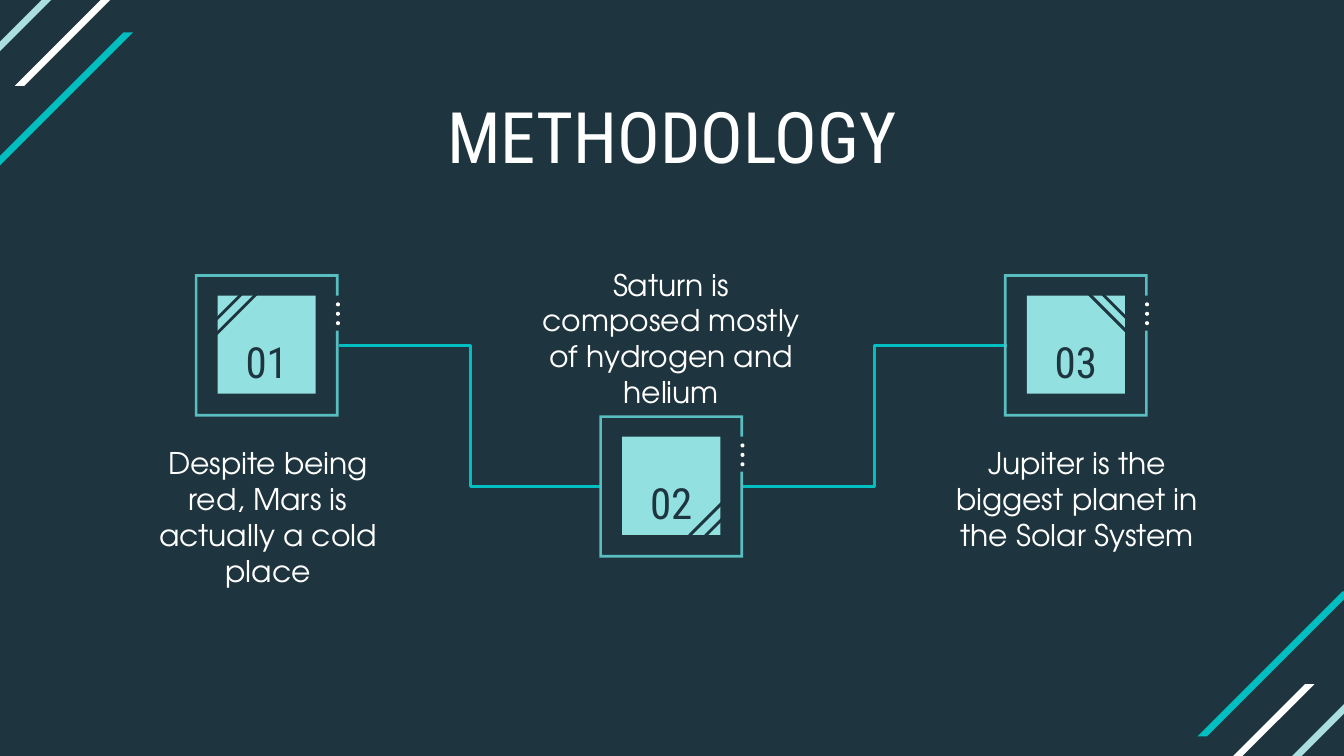
from dataclasses import dataclass

from pptx import Presentation
from pptx.dml.color import RGBColor
from pptx.enum.shapes import MSO_CONNECTOR, MSO_SHAPE
from pptx.enum.text import MSO_ANCHOR, PP_ALIGN
from pptx.oxml.ns import qn
from pptx.shapes.autoshape import Shape
from pptx.slide import Slide
from pptx.util import Inches, Pt

ELBOW = MSO_CONNECTOR.ELBOW
RECTANGLE, OVAL = MSO_SHAPE.RECTANGLE, MSO_SHAPE.OVAL
TOP, MIDDLE = MSO_ANCHOR.TOP, MSO_ANCHOR.MIDDLE
CENTER = PP_ALIGN.CENTER

Point = tuple[float, float]


@dataclass(frozen=True)
class Theme:
    dark: str = "1E343F"
    teal: str = "01BEC0"
    frame: str = "58BEBF"
    tile: str = "92E0E0"
    pale: str = "ABDFDF"
    white: str = "FFFFFF"
    heading_font: str = "Roboto Condensed"
    body_font: str = "TeX Gyre Adventor"
    title_size: float = 38
    number_size: float = 23
    body_size: float = 16
    line_width: float = 1.5


@dataclass(frozen=True)
class Area:
    left: float
    top: float
    width: float
    height: float


@dataclass(frozen=True)
class Stripe:
    """A 45 degree bar; a falling one runs down to the right."""
    left: float
    top: float
    run: float
    thickness: float
    color: str
    falling: bool = False


@dataclass(frozen=True)
class Step:
    number: str
    left: float
    top: float
    caption: str
    caption_area: Area
    caption_anchor: MSO_ANCHOR
    stripes: tuple[Point, ...]
    falling: bool = False


THEME = Theme()
SLIDE_WIDTH = 10
SLIDE_HEIGHT = SLIDE_WIDTH * 9 / 16
FRAME_WIDTH, FRAME_HEIGHT = 1.07, 1.06
TILE_SIZE = 0.73
DOT_SIZE = 0.03

CORNER_STRIPES = (
    Stripe(-0.16, 0.24, 1.08, 0.07, THEME.teal),
    Stripe(-0.39, -0.21, 0.91, 0.07, THEME.pale),
    Stripe(0.11, -0.44, 1.08, 0.07, THEME.white),
    Stripe(9.31, 5.02, 0.91, 0.07, THEME.pale),
    Stripe(8.63, 5.09, 1.08, 0.07, THEME.white),
    Stripe(8.91, 4.4, 1.08, 0.07, THEME.teal),
)

STEPS = (
    Step("01", 1.45, 2.04, "Despite being red, Mars is actually a cold place",
         Area(0.94, 3.21, 2.11, 1.05), TOP, ((1.44, 2.12), (1.4, 2.05))),
    Step("02", 4.46, 3.09, "Saturn is composed mostly of hydrogen and helium",
         Area(3.86, 1.95, 2.27, 1.13), MIDDLE, ((4.91, 3.67), (4.99, 3.71))),
    Step("03", 7.47, 2.04, "Jupiter is the biggest planet in the Solar System",
         Area(6.96, 3.21, 2.11, 1.05), TOP, ((7.98, 2.05), (8.05, 2.02)), True),
)


def paint(shape: Shape, color: str) -> None:
    shape.shadow.inherit = False
    shape.fill.solid()
    shape.fill.fore_color.rgb = RGBColor.from_string(color)
    shape.line.fill.background()


def add_preset(slide: Slide, kind: MSO_SHAPE, area: Area, color: str) -> None:
    shape = slide.shapes.add_shape(kind, Inches(area.left), Inches(area.top),
                                   Inches(area.width), Inches(area.height))
    paint(shape, color)


def add_outline(slide: Slide, points: list[Point], color: str) -> None:
    corners = [(Inches(x), Inches(y)) for x, y in points]
    builder = slide.shapes.build_freeform(*corners[0])
    builder.add_line_segments(corners[1:], close=True)
    paint(builder.convert_to_shape(), color)


def add_stripe(slide: Slide, stripe: Stripe) -> None:
    left, top, thick = stripe.left, stripe.top, stripe.thickness
    right, bottom = left + stripe.run, top + stripe.run
    if stripe.falling:
        points = [(right, bottom), (left, top), (left, top + thick), (right, bottom + thick)]
    else:
        points = [(right, top), (left, bottom), (left + thick, bottom), (right + thick, top)]
    add_outline(slide, points, stripe.color)


def add_text(slide: Slide, text: str, area: Area, font: str, size: float, color: str,
             anchor: MSO_ANCHOR = TOP, inset_top: float = 0.1,
             inset_bottom: float = 0.1, space_after: float = 0) -> None:
    box = slide.shapes.add_textbox(Inches(area.left), Inches(area.top),
                                   Inches(area.width), Inches(area.height))
    frame = box.text_frame
    frame.word_wrap = True
    frame.vertical_anchor = anchor
    frame.margin_left = frame.margin_right = Inches(0.1)
    frame.margin_top, frame.margin_bottom = Inches(inset_top), Inches(inset_bottom)
    para = frame.paragraphs[0]
    para.alignment = CENTER
    para.space_after = Pt(space_after)
    span = para.add_run()
    span.text = text
    span.font.name = font
    span.font.size = Pt(size)
    span.font.color.rgb = RGBColor.from_string(color)


def add_link(slide: Slide, start: Step, end: Step) -> None:
    middle = FRAME_HEIGHT / 2
    link = slide.shapes.add_connector(
        ELBOW, Inches(start.left + FRAME_WIDTH), Inches(start.top + middle),
        Inches(end.left + 0.02), Inches(end.top + middle))
    link.line.color.rgb = RGBColor.from_string(THEME.teal)
    link.line.width = Pt(THEME.line_width)
    properties = link._element.spPr
    properties.append(properties.makeelement(qn("a:effectLst"), {}))


def add_frame(slide: Slide, left: float, top: float) -> None:
    # Square ring with a gap in its right side
    right, bottom, edge = left + FRAME_WIDTH, top + FRAME_HEIGHT, 0.02
    gap_top, gap_bottom = top + 0.16, top + 0.42
    add_outline(slide, [
        (left, top), (left, bottom), (right, bottom), (right, gap_bottom),
        (right - edge, gap_bottom), (right - edge, bottom - edge),
        (left + edge, bottom - edge), (left + edge, top + edge),
        (right - edge, top + edge), (right - edge, gap_top),
        (right, gap_top), (right, top),
    ], THEME.frame)
    # Three dots in the gap
    for index in range(3):
        dot = Area(left + 1.05, top + 0.21 + 0.07 * index, DOT_SIZE, DOT_SIZE)
        add_preset(slide, OVAL, dot, THEME.white)


def add_step(slide: Slide, step: Step) -> None:
    tile_left = step.left + 0.17
    add_preset(slide, RECTANGLE,
               Area(tile_left, step.top + 0.16, TILE_SIZE, TILE_SIZE), THEME.tile)
    add_text(slide, step.caption, step.caption_area, THEME.body_font, THEME.body_size,
             THEME.white, step.caption_anchor, space_after=16)
    add_text(slide, step.number, Area(tile_left, step.top + 0.37, TILE_SIZE, 0.35),
             THEME.heading_font, THEME.number_size, THEME.dark, MIDDLE,
             inset_top=0.2, inset_bottom=0, space_after=16)
    for left, top in step.stripes:
        add_stripe(slide, Stripe(left, top, 0.52, 0.03, THEME.dark, step.falling))
    add_frame(slide, step.left, step.top)


def main() -> None:
    deck = Presentation()
    deck.slide_width, deck.slide_height = Inches(SLIDE_WIDTH), Inches(SLIDE_HEIGHT)
    page = deck.slides.add_slide(deck.slide_layouts[6])
    page.background.fill.solid()
    page.background.fill.fore_color.rgb = RGBColor.from_string(THEME.dark)

    # Corner decoration and title
    for stripe in CORNER_STRIPES:
        add_stripe(page, stripe)
    add_text(page, "METHODOLOGY", Area(0.78, 0.59, 8.44, 0.68),
             THEME.heading_font, THEME.title_size, THEME.white)

    # Steps and the links between them
    for start, end in zip(STEPS, STEPS[1:]):
        add_link(page, start, end)
    for step in STEPS:
        add_step(page, step)

    deck.save("out.pptx")


if __name__ == "__main__":
    main()
